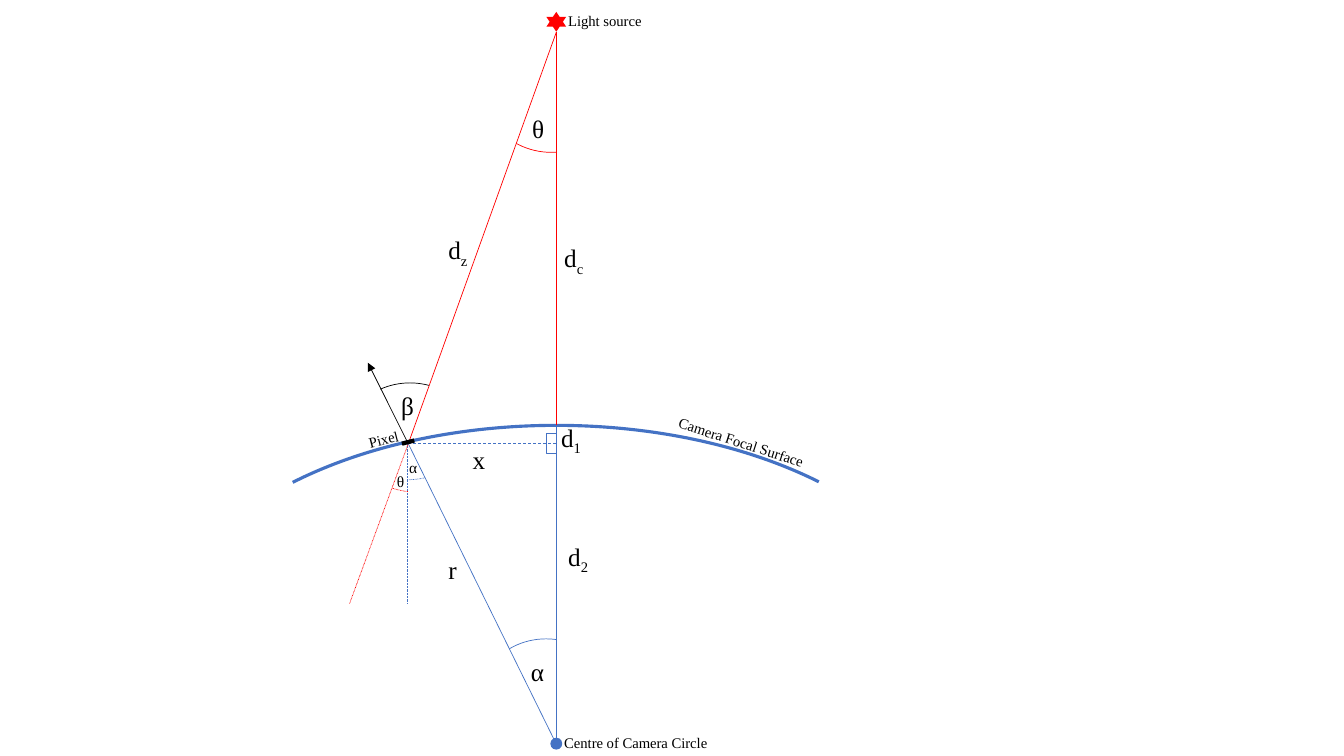
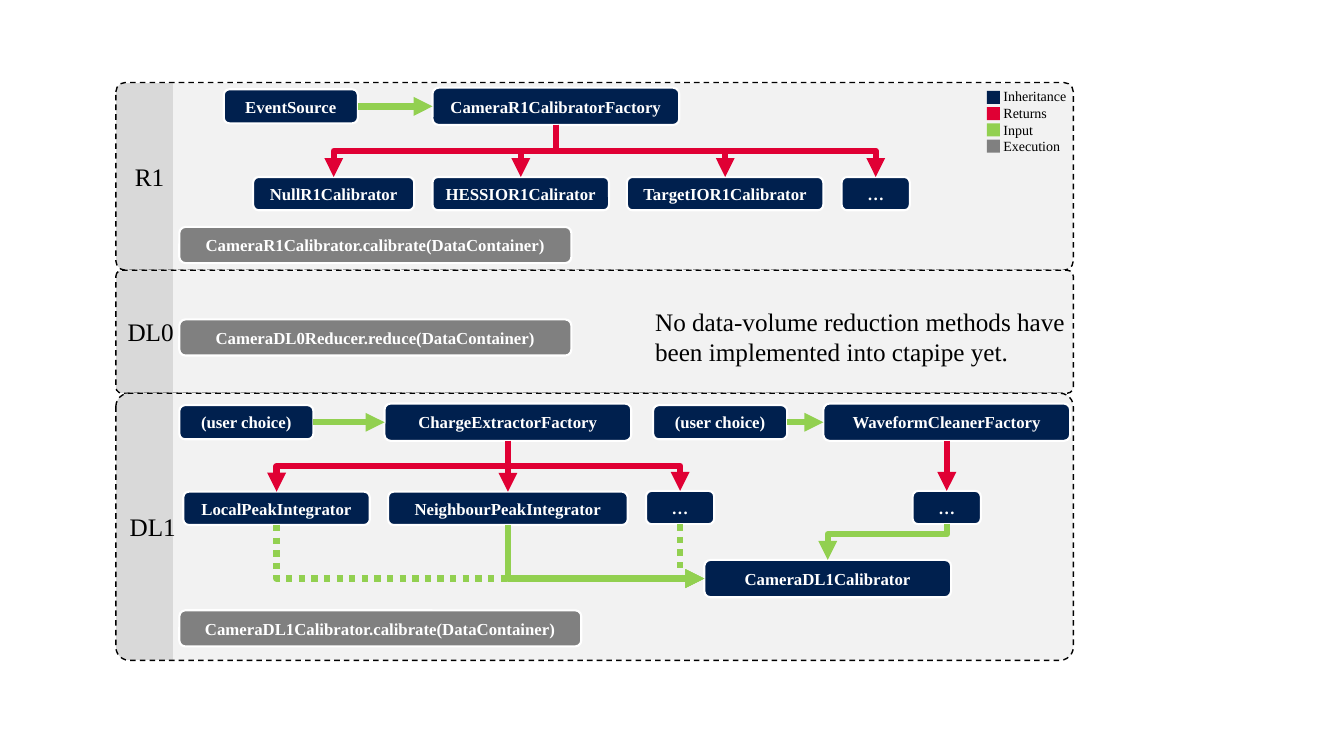
from collections import namedtuple
from copy import deepcopy

from lxml import etree
from pptx import Presentation
from pptx import util as u
from pptx.dml.color import RGBColor
from pptx.enum import dml, shapes, text
from pptx.oxml.ns import qn

COLOURS = {
    "black": "000000", "white": "FFFFFF", "blue": "4472C4", "red": "FF0000",
    "navy": "00204E", "crimson": "E00034", "green": "92D050",
    "grey": "808080", "band": "D9D9D9", "panel": "F2F2F2",
}
FONT = "Times New Roman"
DASH, DOT = dml.MSO_LINE.DASH, dml.MSO_LINE.ROUND_DOT
SHAPE = shapes.MSO_SHAPE
TOP, LEFT, BOTTOM, RIGHT = range(4)  # connection sites
Box = namedtuple("Box", "left top width height")  # centimetres


# ---- Shared helpers ----

def colour(name):
    return RGBColor.from_string(COLOURS[name])


def set_line(line, name, width, dash=None):
    line.color.rgb = colour(name)
    line.width = u.Pt(width)
    if dash:
        line.dash_style = dash


def set_font(paragraph, size, name="black", bold=None,
             alignment=text.PP_ALIGN.LEFT):
    paragraph.alignment = alignment
    font = paragraph.font
    font.name, font.size, font.bold = FONT, u.Pt(size), bold
    font.color.rgb = colour(name)


def add_shape(slide, kind, box, left, top, width, height, fill=None):
    shape = slide.shapes.add_shape(
        kind, u.Cm(box.left + left), u.Cm(box.top + top), u.Cm(width), u.Cm(height))
    shape.shadow.inherit = False
    shape.line.fill.background()
    if fill:
        shape.fill.solid()
        shape.fill.fore_color.rgb = colour(fill)
    else:
        shape.fill.background()
    return shape


def add_label(slide, box, words, left, top, width, height, size,
              subscript=None, rotation=0, wrap=False):
    label = slide.shapes.add_textbox(
        u.Cm(box.left + left), u.Cm(box.top + top), u.Cm(width), u.Cm(height))
    label.rotation = rotation
    frame = label.text_frame
    frame.word_wrap = wrap
    frame.auto_size = text.MSO_AUTO_SIZE.SHAPE_TO_FIT_TEXT
    frame.text = words
    for paragraph in frame.paragraphs:
        set_font(paragraph, size)
    if subscript:
        run = frame.paragraphs[0].add_run()
        run.text = subscript
        run._r.get_or_add_rPr().set("baseline", "-25000")


def style_connector(connector, name, width, dash=None, arrow=False):
    set_line(connector.line, name, width, dash)
    properties = connector._element.spPr
    if arrow:
        etree.SubElement(properties.find(qn("a:ln")), qn("a:tailEnd"), type="triangle")
    etree.SubElement(properties, qn("a:effectLst"))


# ---- Slide 1: camera geometry ----

def add_segment(slide, box, start, end, name, width=0.5, dash=None, arrow=False):
    points = [u.Cm(origin + offset) for point in (start, end)
              for origin, offset in zip((box.left, box.top), point)]
    connector = slide.shapes.add_connector(shapes.MSO_CONNECTOR.STRAIGHT, *points)
    style_connector(connector, name, width, dash, arrow)


def add_arc(slide, box, left, top, start, end, name, dash=None,
            width=3.35, height=3, weight=0.5):
    """Draw an arc between two angles in degrees, clockwise from the right."""
    arc = add_shape(slide, SHAPE.ARC, box, left, top, width, height)
    for index, angle in enumerate((start, end)):
        arc.adjustments[index] = angle * 0.6
    set_line(arc.line, name, weight, dash)


def geometry_diagram(slide, box):
    axis = box.width / 2
    source, apex, centre = (axis, 0.81), (axis, 10.72), (axis, 18.75)
    pixel = (6.27, 11.18)
    foot = (axis, pixel[1])

    # Focal surface and rays
    add_arc(slide, box, 0, apex[1], 212.63, 327.18, "blue",
            width=box.width, height=11.38, weight=2.25)
    for start, end, name, dash in (
        (centre, apex, "blue", None),
        (centre, pixel, "blue", None),
        (source, apex, "red", None),
        (source, pixel, "red", None),
        (pixel, foot, "blue", DASH),
        ((6.24, 15.21), (6.24, pixel[1]), "blue", DOT),
        (pixel, (4.79, 15.21), "red", DOT),
    ):
        add_segment(slide, box, start, end, name, dash=dash)
    add_segment(slide, box, pixel, (5.25, 9.14), "black", arrow=True)
    add_segment(slide, box, (6.11, 11.18), (6.42, 11.1), "black", width=3)

    # Light source, circle centre and right angle
    add_shape(slide, SHAPE.STAR_6_POINT, box, axis - 0.25, 0.3, 0.5, 0.5, "red")
    add_shape(slide, SHAPE.OVAL, box, axis - 0.15, 18.59, 0.3, 0.3, "blue")
    corner = add_shape(slide, SHAPE.RECTANGLE, box, axis - 0.25, 10.92, 0.25, 0.51)
    set_line(corner.line, "blue", 0.5)

    # Angle marks
    for left, top, start, end, name, dash in (
        (8.07, 16.1, 233.41, 279.33, "blue", None),
        (8.2, 0.84, 85.48, 124.56, "red", None),
        (4.64, 9.65, 240.81, 288.41, "black", None),
        (4.79, 9.4, 97.87, 113.1, "red", DOT),
        (4.59, 9.09, 73.47, 89.92, "blue", DOT),
    ):
        add_arc(slide, box, left, top, start, end, name, dash)

    # Symbols
    for words, subscript, left, top, width in (
        ("α", None, 9.11, 16.41, 0.89),
        ("θ", None, 9.14, 2.72, 0.81),
        ("β", None, 5.84, 9.7, 0.86),
        ("x", None, 7.64, 11.07, 0.84),
        ("r", None, 7.03, 13.84, 0.74),
        ("d", "1", 9.87, 10.52, 1.07),
        ("d", "2", 10.05, 13.51, 1.07),
        ("d", "c", 9.95, 5.99, 1.04),
        ("d", "z", 7.03, 5.79, 1.02),
    ):
        add_label(slide, box, words, left, top, width, 1.02, 18, subscript)
    add_label(slide, box, "θ", 5.73, 11.76, 0.71, 0.74, 11)
    add_label(slide, box, "α", 6.04, 11.43, 0.74, 0.74, 11)

    # Names
    for words, left, top, width, rotation in (
        ("Pixel", 5.02, 10.72, 1.27, 345.5),
        ("Camera Focal Surface", 12.77, 10.82, 3.94, 17.8),
        ("Light source", 10.05, 0.18, 2.39, 0),
        ("Centre of Camera Circle", 9.95, 18.36, 4.17, 0),
    ):
        add_label(slide, box, words, left, top, width, 0.71, 10.5, rotation=rotation)


# ---- Slide 2: calibration flow ----

def add_panel(slide, box, name, indent=0.25):
    panel = add_shape(slide, SHAPE.ROUNDED_RECTANGLE, box, 0, 0, box.width, box.height)
    panel.adjustments[0] = 0.05
    panel.fill.gradient()
    panel.fill.gradient_angle = 0
    for stop, shade in zip(panel.fill.gradient_stops, ("band", "panel")):
        stop.color.rgb = colour(shade)
        stop.position = 0.06
    stops = panel._element.spPr.find(".//" + qn("a:gsLst"))
    last_stop = deepcopy(stops[-1])
    last_stop.set("pos", "100000")
    stops.append(last_stop)
    set_line(panel.line, "black", 1, DASH)
    frame = panel.text_frame
    frame.margin_left = u.Cm(indent)
    frame.vertical_anchor = text.MSO_ANCHOR.MIDDLE
    frame.text = name
    set_font(frame.paragraphs[0], 18)


def add_node(slide, box, words, left, top, width, height=0.84, fill="navy"):
    node = add_shape(slide, SHAPE.ROUNDED_RECTANGLE, box, left, top, width, height, fill)
    set_line(node.line, "white", 1.5)
    frame = node.text_frame
    frame.vertical_anchor = text.MSO_ANCHOR.MIDDLE
    frame.text = words
    set_font(frame.paragraphs[0], 12, "white", True, text.PP_ALIGN.CENTER)
    return node


def add_factory(slide, box, words, left, top):
    return add_node(slide, box, words, left, top, 6.22, 0.94)


def add_input(slide, box, words, left, top):
    return add_node(slide, box, words, left, top, 3.38, 0.86)


def add_execution(slide, box, words, top, width=9.88):
    add_node(slide, box, words, 1.6, top, width, 0.91, "grey")


def join(slide, kind, start, start_site, end, end_site, name, dash=None):
    connector = slide.shapes.add_connector(kind, 0, 0, 0, 0)
    connector.begin_connect(start, start_site)
    connector.end_connect(end, end_site)
    style_connector(connector, name, 4.5, dash, arrow=True)
    return connector


def add_arrow(slide, start, start_site, end, end_site, name):
    join(slide, shapes.MSO_CONNECTOR.STRAIGHT, start, start_site, end, end_site, name)


def add_elbow(slide, start, end, name, end_site=TOP, bend=0.5, dash=None):
    """Leave the bottom of start; arrive at the top or left side of end."""
    connector = join(slide, shapes.MSO_CONNECTOR.ELBOW, start, BOTTOM,
                     end, end_site, name, dash)
    across = connector.end_x - connector.begin_x
    down = connector.end_y - connector.begin_y
    middle_x = (connector.begin_x + connector.end_x) // 2
    middle_y = (connector.begin_y + connector.end_y) // 2
    # A quarter turn makes the first leg vertical
    connector.width, connector.height = down, abs(across)
    connector.left = middle_x - down // 2
    connector.top = middle_y - abs(across) // 2
    frame = connector._element.spPr.find(qn("a:xfrm"))
    frame.set("rot", "16200000" if across > 0 else "5400000")
    frame.set("flipH", "1" if across > 0 else "0")
    frame.set("flipV", "0")
    geometry = connector._element.spPr.find(qn("a:prstGeom"))
    if end_site == LEFT:
        geometry.set("prst", "bentConnector2")
    else:
        etree.SubElement(geometry.find(qn("a:avLst")), qn("a:gd"),
                         name="adj1", fmla=f"val {round(bend * 100000)}")


def legend(slide, box):
    entries = {"Inheritance": "navy", "Returns": "crimson",
               "Input": "green", "Execution": "grey"}
    for index, name in enumerate(entries.values()):
        add_shape(slide, SHAPE.RECTANGLE, box, 0, 0.21 + index * 0.41, 0.33, 0.33, name)
    add_label(slide, box, "\n".join(entries), 0.17, 0, box.width, box.height, 10)


def r1_region(slide, box):
    add_panel(slide, box, "R1", indent=0.41)
    source = add_input(slide, box, "EventSource", 2.72, 0.17)
    factory = add_factory(slide, box, "CameraR1CalibratorFactory", 7.98, 0.13)
    add_arrow(slide, source, RIGHT, factory, LEFT, "green")
    for words, left, width in (
        ("NullR1Calibrator", 3.46, 4.06),
        ("HESSIOR1Calirator", 7.98, 4.45),
        ("TargetIOR1Calibrator", 12.88, 4.95),
        ("…", 18.29, 1.72),
    ):
        product = add_node(slide, box, words, left, 2.38, width)
        add_elbow(slide, factory, product, "crimson")
    add_execution(slide, box, "CameraR1Calibrator.calibrate(DataContainer)", 3.64)
    legend(slide, Box(box.left + 21.95, box.top, 2.16, 1.96))


def dl0_region(slide, box):
    add_panel(slide, box, "DL0")
    add_execution(slide, box, "CameraDL0Reducer.reduce(DataContainer)", 1.24)
    add_label(slide, box, "No data-volume reduction methods have been implemented "
              "into ctapipe yet.", 13.34, 0.78, 10.92, 1.8, 18, wrap=True)


def dl1_region(slide, box):
    add_panel(slide, box, "DL1")
    # Factories and their inputs
    extractor = add_factory(slide, box, "ChargeExtractorFactory", 6.77, 0.26)
    cleaner = add_factory(slide, box, "WaveformCleanerFactory", 17.83, 0.26)
    for left, factory in ((1.6, extractor), (13.54, cleaner)):
        choice = add_input(slide, box, "(user choice)", left, 0.3)
        add_arrow(slide, choice, RIGHT, factory, LEFT, "green")

    # Products
    local = add_node(slide, box, "LocalPeakIntegrator", 1.7, 2.48, 4.7)
    neighbour = add_node(slide, box, "NeighbourPeakIntegrator", 6.86, 2.48, 6.04)
    other, cleaned = (add_node(slide, box, "…", left, 2.46, 1.72)
                      for left in (13.36, 20.08))
    for product in (local, other):
        add_elbow(slide, extractor, product, "crimson")
    add_arrow(slide, extractor, BOTTOM, neighbour, TOP, "crimson")
    add_arrow(slide, cleaner, BOTTOM, cleaned, TOP, "crimson")

    # Calibrator
    calibrator = add_factory(slide, box, "CameraDL1Calibrator", 14.83, 4.2)
    for product, dash in ((neighbour, None), (local, DOT), (other, DOT)):
        add_elbow(slide, product, calibrator, "green", LEFT, dash=dash)
    add_elbow(slide, cleaned, calibrator, "green", bend=0.28)
    add_execution(slide, box, "CameraDL1Calibrator.calibrate(DataContainer)", 5.47, 10.13)


def main():
    presentation = Presentation()
    presentation.slide_width, presentation.slide_height = u.Cm(33.87), u.Cm(19.05)
    blank = presentation.slide_layouts[6]

    geometry_diagram(presentation.slides.add_slide(blank), Box(4.02, 0, 20, 19.05))

    flow = presentation.slides.add_slide(blank)
    top = 2.08
    for region, height in ((r1_region, 4.73), (dl0_region, 3.1), (dl1_region, 6.73)):
        region(flow, Box(2.92, top, 24.13, height))
        top += height

    presentation.save("out.pptx")


if __name__ == "__main__":
    main()
